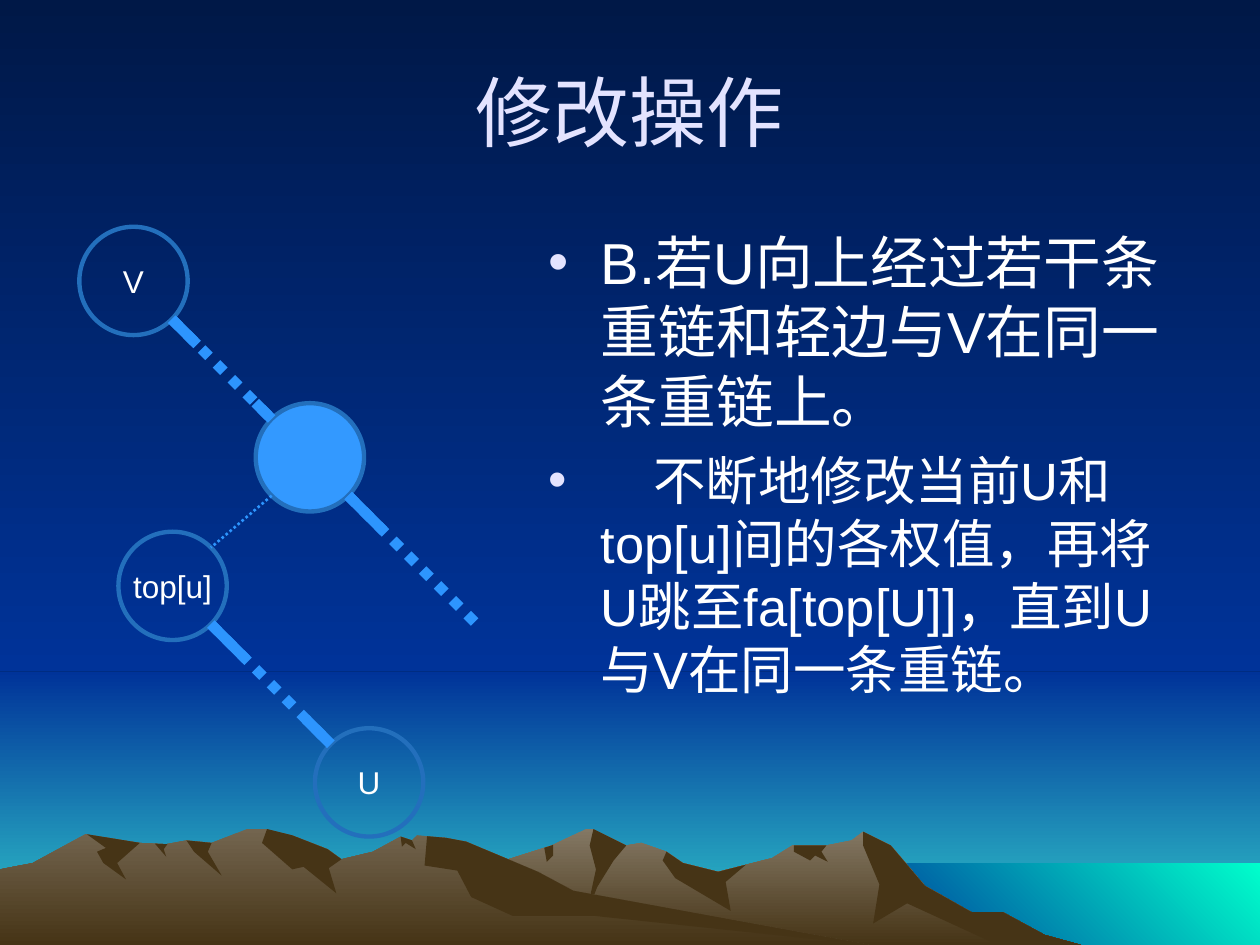
"""Build the slide on updating weights along heavy chains of a tree."""
import itertools
import math

import lxml.etree
import pptx
import pptx.dml.color
import pptx.enum.dml
import pptx.enum.shapes
import pptx.enum.text
import pptx.oxml.ns
import pptx.util

Inches = pptx.util.Inches
Pt = pptx.util.Pt
RGBColor = pptx.dml.color.RGBColor
SHAPE = pptx.enum.shapes.MSO_SHAPE
CENTER = pptx.enum.text.PP_ALIGN.CENTER
MIDDLE = pptx.enum.text.MSO_ANCHOR.MIDDLE
DOTTED = pptx.enum.dml.MSO_LINE.ROUND_DOT

FONT = "Arial"
NIGHT = RGBColor(0x00, 0x18, 0x47)
BLUE = RGBColor(0x00, 0x33, 0x99)
TEAL = RGBColor(0x33, 0xCC, 0xCC)
AQUA = RGBColor(0x00, 0xFF, 0xCC)
STONE = RGBColor(0x84, 0x78, 0x64)
CLAY = RGBColor(0x73, 0x65, 0x4F)
EARTH = RGBColor(0x46, 0x34, 0x16)
LILAC = RGBColor(0xE3, 0xE3, 0xFF)
WHITE = RGBColor(0xFF, 0xFF, 0xFF)
NODE_FILL = RGBColor(0x33, 0x99, 0xFF)
NODE_LINE = RGBColor(0x23, 0x6F, 0xBC)
EDGE = RGBColor(0x2D, 0x95, 0xFE)

TITLE = "修改操作"
BULLETS = [
    ("B.若U向上经过若干条重链和轻边与V在同一条重链上。", 33, 0),
    ("　不断地修改当前U和top[u]间的各权值，再将U跳至fa[top[U]]，直到U与V在同一条重链。", 30, 7.5),
]

RADIUS = 0.43
HUB = ""
NODES = {"V": (1.06, 2.23), HUB: (2.46, 3.63), "top[u]": (1.37, 4.65), "U": (2.93, 6.21)}
BRANCH_END = (3.82, 4.99)

WIDTH, HEIGHT = 10, 7.5
HORIZON, SHORE, COAST = 5.33, 6.85, 6.83
DOWN, UP_RIGHT = 270, 45
SCENERY = [
    ((0, HORIZON, WIDTH, HEIGHT - HORIZON), BLUE, TEAL, DOWN),
    ((0, 0, WIDTH, HORIZON), NIGHT, BLUE, DOWN),
    ((COAST, SHORE, WIDTH - COAST, HEIGHT - SHORE), BLUE, AQUA, UP_RIGHT),
]

FAR_RANGE = {
    "color": STONE,
    "crest": [(2.58, 7.5), (3.27, 7.09), (3.94, 6.85), (4.38, 6.71), (4.65, 6.58), (4.71, 6.58),
              (4.97, 6.71), (5.09, 6.69), (5.29, 6.76), (5.42, 6.85), (5.7, 6.92), (6.13, 6.81),
              (6.29, 6.71), (6.56, 6.71), (6.76, 6.67), (6.85, 6.6), (7.07, 6.71), (7.34, 7.03),
              (7.71, 7.24), (7.96, 7.24), (8.29, 7.42), (8.58, 7.5)],
    "shadows": [
        (4.32, 4.39, [(4.39, 6.79), (4.34, 6.84)]),
        (4.71, 4.97, [(4.87, 6.83), (4.74, 7.04), (4.65, 7.27), (4.73, 6.9), (4.68, 6.71)]),
        (5.29, 5.92, [(5.76, 7), (5.8, 7.23), (5.36, 6.97), (5.26, 6.83)]),
        (6.3, 6.56, [(6.52, 6.76), (6.57, 6.84), (6.47, 6.79), (6.43, 6.83), (6.3, 6.76)]),
        (6.85, 8.58, [(7.92, 7.5), (7.2, 7.17), (6.93, 7.33), (6.98, 7.02), (6.85, 6.71)]),
    ],
}
NEAR_RANGE = {
    "color": CLAY,
    "crest": [(0, 6.9), (0.26, 6.85), (0.68, 6.62), (1.11, 6.69), (1.32, 6.7), (1.48, 6.67),
              (1.68, 6.69), (1.96, 6.58), (2.12, 6.58), (2.32, 6.63), (2.6, 6.74), (2.71, 6.82),
              (2.96, 6.76), (3.18, 6.64), (3.27, 6.67), (3.31, 6.63), (3.54, 6.65), (3.7, 6.68),
              (4.27, 6.92), (4.55, 7.07), (6.9, 7.5)],
    "shadows": [
        (0.69, 1.11, [(0.93, 6.85), (1, 6.98), (0.82, 6.85), (0.77, 6.76), (0.84, 6.73)]),
        (1.23, 1.33, [(1.3, 6.74), (1.32, 6.8)]),
        (1.48, 1.68, [(1.65, 6.76), (1.76, 6.95), (1.54, 6.76)]),
        (2.12, 2.71, [(2.61, 6.89), (2.67, 7.09), (2.41, 6.88), (2.32, 6.9), (2.08, 6.69)]),
        (3.18, 3.27, [(3.3, 6.74), (3.22, 6.69), (3.19, 6.72)]),
        (3.39, 6.9, [(4.72, 7.27), (4.07, 7.27), (3.74, 7.12), (3.63, 6.91), (3.37, 6.87)]),
    ],
}


def paint_gradient(fill, start, end, angle):
    fill.gradient()
    fill.gradient_angle = angle
    for stop, color in zip(fill.gradient_stops, (start, end)):
        stop.color.rgb = color


def paint_solid(fill, color):
    fill.solid()
    fill.fore_color.rgb = color


def crest_height(crest, x):
    for (left, start), (right, end) in itertools.pairwise(crest):
        if left <= x <= right:
            return start + (end - start) * (x - left) / (right - left)


def crest_between(crest, left, right):
    inner = [point for point in crest if left < point[0] < right]
    return [(left, crest_height(crest, left)), *inner, (right, crest_height(crest, right))]


def add_outline(page, points):
    corners = [(Inches(x), Inches(y)) for x, y in points]
    builder = page.shapes.build_freeform(*corners[0], scale=1.0)
    builder.add_line_segments(corners[1:], close=True)
    outline = builder.convert_to_shape()
    outline.shadow.inherit = False
    outline.line.fill.background()
    return outline


def add_range(page, color, crest, shadows):
    foot = [(crest[-1][0], HEIGHT), (crest[0][0], HEIGHT)]
    paint_gradient(add_outline(page, crest + foot).fill, color, EARTH, DOWN)
    for left, right, lower_edge in shadows:
        shadow = add_outline(page, crest_between(crest, left, right) + lower_edge)
        paint_solid(shadow.fill, EARTH)


def add_scenery(page):
    for bounds, start, end, angle in SCENERY:
        band = page.shapes.add_shape(SHAPE.RECTANGLE, *map(Inches, bounds))
        band.shadow.inherit = False
        band.line.fill.background()
        paint_gradient(band.fill, start, end, angle)
    for mountains in (FAR_RANGE, NEAR_RANGE):
        add_range(page, **mountains)


def write(paragraph, text, size, color):
    span = paragraph.add_run()
    span.text = text
    span.font.name, span.font.size = FONT, Pt(size)
    span.font.color.rgb = color


def prepare(page, box, *bounds):
    page.shapes._spTree.append(box._element)
    box.left, box.top, box.width, box.height = map(Inches, bounds)
    box.text_frame.auto_size = pptx.enum.text.MSO_AUTO_SIZE.NONE
    return box.text_frame


def add_bullet(paragraph):
    properties = paragraph._p.get_or_add_pPr()
    properties.set("marL", str(Inches(0.46)))
    properties.set("indent", str(Inches(-0.42)))
    tint = lxml.etree.SubElement(properties, pptx.oxml.ns.qn("a:buClr"))
    lxml.etree.SubElement(tint, pptx.oxml.ns.qn("a:srgbClr"), val=str(LILAC))
    lxml.etree.SubElement(properties, pptx.oxml.ns.qn("a:buFont"), typeface=FONT)
    lxml.etree.SubElement(properties, pptx.oxml.ns.qn("a:buChar"), char="•")


def add_texts(page, title, body):
    frame = prepare(page, title, 0.5, 0.25, 9, 1.25)
    frame.vertical_anchor = MIDDLE
    frame.paragraphs[0].alignment = CENTER
    write(frame.paragraphs[0], TITLE, 44, LILAC)
    frame = prepare(page, body, 4.21, 1.75, 5.29, 5.15)
    for index, (text, size, gap) in enumerate(BULLETS):
        paragraph = frame.add_paragraph() if index else frame.paragraphs[0]
        add_bullet(paragraph)
        paragraph.space_before = Pt(gap)
        write(paragraph, text, size, WHITE)


def add_node(page, label, x, y):
    bounds = (x - RADIUS, y - RADIUS, 2 * RADIUS, 2 * RADIUS)
    node = page.shapes.add_shape(SHAPE.OVAL, *map(Inches, bounds))
    node.shadow.inherit = False
    node.line.color.rgb, node.line.width = NODE_LINE, Pt(2.5)
    if label == HUB:
        paint_solid(node.fill, NODE_FILL)
        return
    node.fill.background()
    frame = node.text_frame
    frame.word_wrap, frame.vertical_anchor = len(label) == 1, MIDDLE
    frame.paragraphs[0].alignment = CENTER
    write(frame.paragraphs[0], label, 18, WHITE)


def rim(label, across, down):
    reach = RADIUS * math.sqrt(0.5)
    x, y = NODES[label]
    return x + across * reach, y + down * reach


def add_edge(page, start, end, width=6, dash=None):
    edge = page.shapes.add_connector(
        pptx.enum.shapes.MSO_CONNECTOR.STRAIGHT, *map(Inches, (*start, *end)))
    edge.line.color.rgb, edge.line.width = EDGE, Pt(width)
    edge.line.dash_style = dash
    lxml.etree.SubElement(edge._element.spPr, pptx.oxml.ns.qn("a:effectLst"))


def add_heavy_chain(page, start, end, first_stub, last_stub):
    add_edge(page, start, end, dash=DOTTED)
    for (x, y), stub in ((start, first_stub), (end, -last_stub)):
        if stub:
            add_edge(page, (x, y), (x + stub, y + stub))


def add_tree(page):
    for label, center in NODES.items():
        add_node(page, label, *center)
    add_heavy_chain(page, rim("V", 1, 1), rim(HUB, -1, -1), 0.2, 0.13)
    add_heavy_chain(page, rim(HUB, 1, 1), BRANCH_END, 0.28, 0)
    add_heavy_chain(page, rim("top[u]", 1, 1), rim("U", -1, -1), 0.28, 0.2)
    add_edge(page, rim(HUB, -1, 1), rim("top[u]", 1, -1), 1.5, DOTTED)


def main():
    deck = pptx.Presentation()
    deck.slide_width, deck.slide_height = Inches(WIDTH), Inches(HEIGHT)
    page = deck.slides.add_slide(deck.slide_layouts[1])
    paint_gradient(page.background.fill, NIGHT, BLUE, DOWN)
    title, body = page.placeholders
    add_scenery(page)
    add_texts(page, title, body)
    add_tree(page)
    deck.save("out.pptx")


if __name__ == "__main__":
    main()
